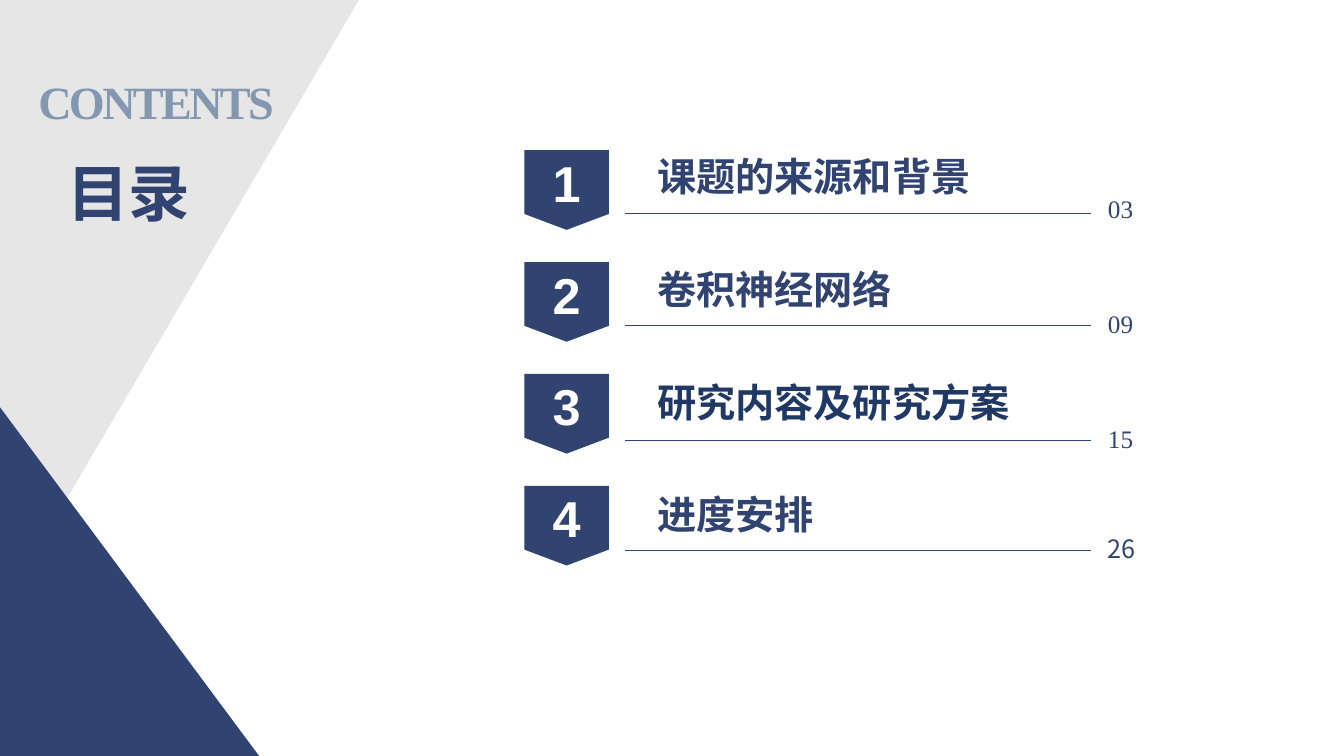
from lxml.etree import SubElement
from pptx import Presentation
from pptx.dml.color import RGBColor
from pptx.enum.shapes import MSO_CONNECTOR, MSO_SHAPE
from pptx.enum.text import MSO_ANCHOR, MSO_AUTO_SIZE, PP_ALIGN
from pptx.oxml.ns import qn
from pptx.util import Inches, Pt

NAVY = RGBColor(0x31, 0x43, 0x71)
DEEP_BLUE = RGBColor(0x20, 0x38, 0x64)
STEEL = RGBColor(0x84, 0x97, 0xB0)
GREY = RGBColor(0xE7, 0xE6, 0xE6)
WHITE = RGBColor(0xFF, 0xFF, 0xFF)
SERIF, SANS, CJK = "Times New Roman", "Arial", "Noto Sans CJK SC"

# Content: title, width, font, colour; page, width, font; rule and page heights
CHAPTERS = [
    (("课题的来源和背景", 3.33, SERIF, NAVY), ("03", 0.45, SERIF), 2.12, 1.87),
    (("卷积神经网络", 2.55, SERIF, NAVY), ("09", 0.45, SERIF), 3.23, 3.01),
    (("研究内容及研究方案", 3.72, CJK, DEEP_BLUE), ("15", 0.45, SERIF), 4.37, 4.15),
    (("进度安排", 1.76, SERIF, NAVY), ("26", 0.49, CJK), 5.46, 5.24),
]
GREY_CORNER = [(0, 0), (3.56, 0), (0, 6.08)]
NAVY_CORNER = [(0, 7.5), (2.57, 7.5), (0, 4.04)]

# Layout
BADGE_LEFT, BADGE_TOP, BADGE_STEP = 5.2, 1.49, 1.11
BADGE_WIDTH, BADGE_HEIGHT = 0.84, 0.79
TITLE_LEFT, TITLE_TOP, TITLE_STEP = 6.42, 1.46, 1.12
RULE_LEFT, RULE_RIGHT, PAGE_LEFT = 6.2, 10.82, 10.89


def write(shape, text, size, font, color, bold=False, align=PP_ALIGN.LEFT):
    shape.text_frame.text = text
    paragraph = shape.text_frame.paragraphs[0]
    paragraph.alignment = align
    run = paragraph.runs[0]
    run.font.size = Pt(size)
    run.font.bold = bold
    run.font.name = font
    run.font.color.rgb = color
    SubElement(run.font._element, qn("a:ea")).set("typeface", CJK)
    return run


def add_text(slide, box, *style, wrap=False, **options):
    shape = slide.shapes.add_textbox(*map(Inches, box))
    shape.text_frame.word_wrap = wrap
    shape.text_frame.auto_size = MSO_AUTO_SIZE.SHAPE_TO_FIT_TEXT
    return shape, write(shape, *style, **options)


def paint(shape, color):
    shape.shadow.inherit = False
    shape.fill.solid()
    shape.fill.fore_color.rgb = color
    shape.line.fill.background()


def add_corner(slide, points, color):
    start, *others = [(Inches(x), Inches(y)) for x, y in points]
    builder = slide.shapes.build_freeform(*start)
    builder.add_line_segments(others, close=True)
    paint(builder.convert_to_shape(), color)


def add_badge(slide, index):
    top = BADGE_TOP + index * BADGE_STEP
    badge = slide.shapes.add_shape(
        MSO_SHAPE.FLOWCHART_OFFPAGE_CONNECTOR,
        *map(Inches, (BADGE_LEFT, top, BADGE_WIDTH, BADGE_HEIGHT)))
    paint(badge, NAVY)
    badge.text_frame.vertical_anchor = MSO_ANCHOR.MIDDLE
    write(badge, str(index + 1), 36, SANS, WHITE, bold=True, align=PP_ALIGN.CENTER)


def add_rule(slide, height):
    rule = slide.shapes.add_connector(
        MSO_CONNECTOR.STRAIGHT,
        *map(Inches, (RULE_LEFT, height, RULE_RIGHT, height)))
    rule.line.color.rgb = NAVY
    rule.line.width = Pt(1)
    SubElement(rule._element.spPr, qn("a:effectLst"))


def main():
    presentation = Presentation()
    presentation.slide_width = Inches(13.33)
    presentation.slide_height = Inches(7.5)
    slide = presentation.slides.add_slide(presentation.slide_layouts[6])

    # Chapter list
    for index, (title, page, rule_height, page_top) in enumerate(CHAPTERS):
        add_badge(slide, index)
        add_rule(slide, rule_height)
        text, width, font, color = title
        title_top = TITLE_TOP + index * TITLE_STEP
        add_text(slide, (TITLE_LEFT, title_top, width, 0.57),
                 text, 28, font, color, bold=True)
        number, width, font = page
        add_text(slide, (PAGE_LEFT, page_top, width, 0.4), number, 18, font, NAVY)

    # Corners and headings
    add_corner(slide, GREY_CORNER, GREY)
    heading, run = add_text(slide, (0.22, 0.65, 3, 0.71), "CONTENTS", 33, SERIF,
                            STEEL, bold=True, wrap=True)
    frame = heading.text_frame
    frame.margin_left = frame.margin_right = Inches(0.16)
    frame.margin_top = frame.margin_bottom = Inches(0.08)
    run.font._element.set("spc", "-190")
    add_corner(slide, NAVY_CORNER, NAVY)
    add_text(slide, (0.43, 1.49, 1.7, 0.84), "目录", 44, CJK, NAVY,
             bold=True, wrap=True, align=PP_ALIGN.CENTER)

    presentation.save("out.pptx")


if __name__ == "__main__":
    main()
